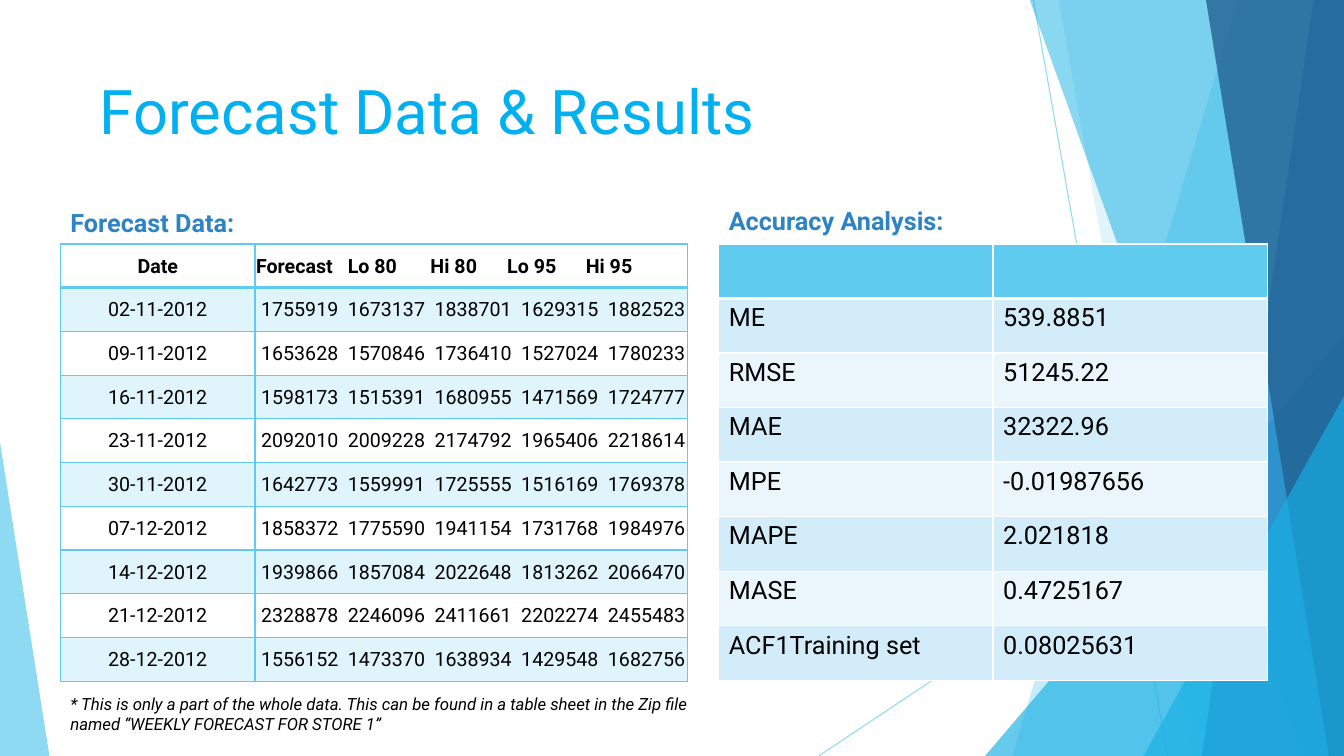
from dataclasses import dataclass

from pptx import Presentation
from pptx.dml.color import RGBColor
from pptx.enum.shapes import MSO_CONNECTOR, MSO_SHAPE
from pptx.enum.text import MSO_ANCHOR, MSO_AUTO_SIZE, PP_ALIGN
from pptx.oxml.ns import qn
from pptx.oxml.xmlchemy import OxmlElement
from pptx.util import Inches, Pt

TRIANGLE = MSO_SHAPE.ISOSCELES_TRIANGLE
STRAIGHT = MSO_CONNECTOR.STRAIGHT
TOP, MIDDLE = MSO_ANCHOR.TOP, MSO_ANCHOR.MIDDLE
LEFT, CENTER = PP_ALIGN.LEFT, PP_ALIGN.CENTER
NO_AUTOFIT = MSO_AUTO_SIZE.NONE


@dataclass(frozen=True)
class Theme:
    font: str = "Roboto"
    sky: str = "5FCBEF"
    cyan: str = "17B0E4"
    blue: str = "2E83C3"
    navy: str = "226292"
    title: str = "00B0F0"
    black: str = "000000"
    white: str = "FFFFFF"
    band_dark: str = "D2ECF9"
    band_light: str = "EAF6FC"
    title_size: int = 44
    body_size: int = 18
    data_size: int = 14
    note_size: int = 12


T = Theme()


def paint(fill, props, colour, alpha=100):
    """Fill with a solid colour; props is the XML that holds it, alpha a percentage."""
    fill.solid()
    fill.fore_color.rgb = RGBColor.from_string(colour)
    if alpha < 100:
        for clr in props.iter(qn("a:srgbClr")):
            opacity = OxmlElement("a:alpha")
            opacity.set("val", str(alpha * 1000))
            clr.append(opacity)


def add_run(p, text, size, colour=T.black, bold=False, italic=False):
    r = p.add_run()
    r.text = text
    r.font.name = T.font
    r.font.size = Pt(size)
    r.font.bold = bold
    r.font.italic = italic
    r.font.color.rgb = RGBColor.from_string(colour)


prs = Presentation()
prs.slide_width, prs.slide_height = Inches(13.33), Inches(7.5)
s = prs.slides.add_slide(prs.slide_layouts[5])

# Background facets, back to front
for x1, y1, x2, y2 in [(10.25, 0, 11.58, 7.5), (13.33, 4.03, 8.12, 7.5)]:
    line = s.shapes.add_connector(STRAIGHT, Inches(x1), Inches(y1), Inches(x2), Inches(y2))
    line.line.width = Pt(0.75)
    spPr = line._element.spPr
    paint(line.line.fill, spPr, T.sky, 70)
    spPr.append(OxmlElement("a:effectLst"))

# Bands run from top to bottom: (top left, bottom left); the right edge is shared.
# Triangles: (left, top, width, height, apex).
facets = [
    ((12.28, 10.04), T.sky, 36),
    ((10.5, 11.83), T.sky, 20),
    ((9.77, 3.33, 3.56, 4.17, 1), T.cyan, 66),
    ((10.21, 12.91), T.cyan, 50),
    ((13.03, 11.92), T.blue, 70),
    ((11.96, 13.18), T.navy, 80),
    ((11.34, 3.93, 1.99, 3.57, 1), T.cyan, 66),
    ((0, 4.39, 0.49, 3.11, 0), T.sky, 70),
]
for geometry, colour, alpha in facets:
    if len(geometry) == 2:
        top_x, bottom_x = geometry
        fb = s.shapes.build_freeform(Inches(top_x), Inches(-0.01))
        corners = [(13.33, -0.01), (13.33, 7.5), (bottom_x, 7.5)]
        fb.add_line_segments([(Inches(x), Inches(y)) for x, y in corners])
        sp = fb.convert_to_shape()
    else:
        *box, apex = geometry
        sp = s.shapes.add_shape(TRIANGLE, *map(Inches, box))
        sp.adjustments[0] = apex
    paint(sp.fill, sp._element.spPr, colour, alpha)
    sp.line.fill.background()
    sp.shadow.inherit = False

title = s.shapes.title
title.left, title.top, title.width, title.height = map(Inches, (0.74, 0.67, 9.4, 1.44))
tf = title.text_frame
tf.vertical_anchor = TOP
tf.auto_size = NO_AUTOFIT
p = tf.paragraphs[0]
p.alignment = LEFT
add_run(p, " Forecast Data & Results", T.title_size, T.title)

note = ("* This is only a part of the whole data. This can be found in an table sheet "
        "in the Zip file named “WEEKLY FORECAST FOR STORE 1”").replace("an table", "a table")
labels = [
    ((0.6, 2.01, 3.7, 0.4), "Forecast Data:", T.body_size, T.blue, True, False),
    ((7.13, 1.99, 3.43, 0.4), "Accuracy Analysis:", T.body_size, T.blue, True, False),
    ((0.6, 6.83, 6.67, 0.5), note, T.note_size, T.black, False, True),
]
for box, *text_format in labels:
    tf = s.shapes.add_textbox(*map(Inches, box)).text_frame
    tf.word_wrap = True
    add_run(tf.paragraphs[0], *text_format)

forecast = [
    ("Date", "Forecast\tLo 80\tHi 80\tLo 95\tHi 95"),
    ("02-11-2012", "\t1755919\t1673137\t1838701\t1629315\t1882523"),
    ("09-11-2012", "\t1653628\t1570846\t1736410\t1527024\t1780233"),
    ("16-11-2012", "\t1598173\t1515391\t1680955\t1471569\t1724777"),
    ("23-11-2012", "\t2092010\t2009228\t2174792\t1965406\t2218614"),
    ("30-11-2012", "\t1642773\t1559991\t1725555\t1516169\t1769378"),
    ("07-12-2012", "\t1858372\t1775590\t1941154\t1731768\t1984976"),
    ("14-12-2012", "\t1939866\t1857084\t2022648\t1813262\t2066470"),
    ("21-12-2012", "\t2328878\t2246096\t2411661\t2202274\t2455483"),
    ("28-12-2012", "\t1556152\t1473370\t1638934\t1429548\t1682756"),
]
accuracy = [
    ("", ""),
    ("ME", "539.8851"),
    ("RMSE", "51245.22"),
    ("MAE", "32322.96"),
    ("MPE", "-0.01987656"),
    ("MAPE", "2.021818"),
    ("MASE", "0.4725167"),
    ("ACF1Training set", "0.08025631"),
]
header_tabs = [0.91, 1.73, 2.49, 3.27]
data_tabs = [0.05 + 0.86 * i for i in range(5)]

# rows, left, column widths, height, size, border, header rule, (header, odd, even) fills
tables = [
    (forecast, 0.6, (1.93, 4.29), 4.34, T.data_size, T.sky, 2,
     (None, (T.sky, 20), None)),
    (accuracy, 7.13, (2.72, 2.72), 4.33, T.body_size, T.white, 3,
     ((T.sky,), (T.band_dark,), (T.band_light,))),
]
for rows, left, widths, height, size, border, rule, fills in tables:
    is_forecast = rows is forecast
    table = s.shapes.add_table(len(rows), 2, Inches(left), Inches(2.42),
                               Inches(sum(widths)), Inches(height)).table
    table.horz_banding = False
    table.first_row = False
    for col, width in zip(table.columns, widths):
        col.width = Inches(width)
    for i, row in enumerate(rows):
        band = fills[0 if i == 0 else 2 - i % 2]
        for j, text in enumerate(row):
            cell = table.cell(i, j)
            p = cell.text_frame.paragraphs[0]
            if text:
                add_run(p, text, size, bold=i == 0)
            if is_forecast:
                cell.vertical_anchor = MIDDLE
                cell.margin_left = cell.margin_right = cell.margin_top = Inches(0.01)
                cell.margin_bottom = 0
                p.alignment = LEFT if j else CENTER
                if j:
                    tabs = OxmlElement("a:tabLst")
                    for pos in data_tabs if i else header_tabs:
                        tab = OxmlElement("a:tab")
                        tab.set("pos", str(Inches(pos)))
                        tab.set("algn", "l")
                        tabs.append(tab)
                    p._p.get_or_add_pPr().append(tabs)
            tcPr = cell._tc.get_or_add_tcPr()
            if band:
                paint(cell.fill, tcPr, *band)
            else:
                cell.fill.background()
            for k, side in enumerate(("lnL", "lnR", "lnT", "lnB")):
                on_rule = (i, side) in ((0, "lnB"), (1, "lnT"))
                ln = OxmlElement("a:" + side)
                ln.set("w", str(Pt(rule if on_rule else 1)))
                solid = OxmlElement("a:solidFill")
                clr = OxmlElement("a:srgbClr")
                clr.set("val", border)
                solid.append(clr)
                ln.append(solid)
                tcPr.insert(k, ln)

prs.save("out.pptx")
